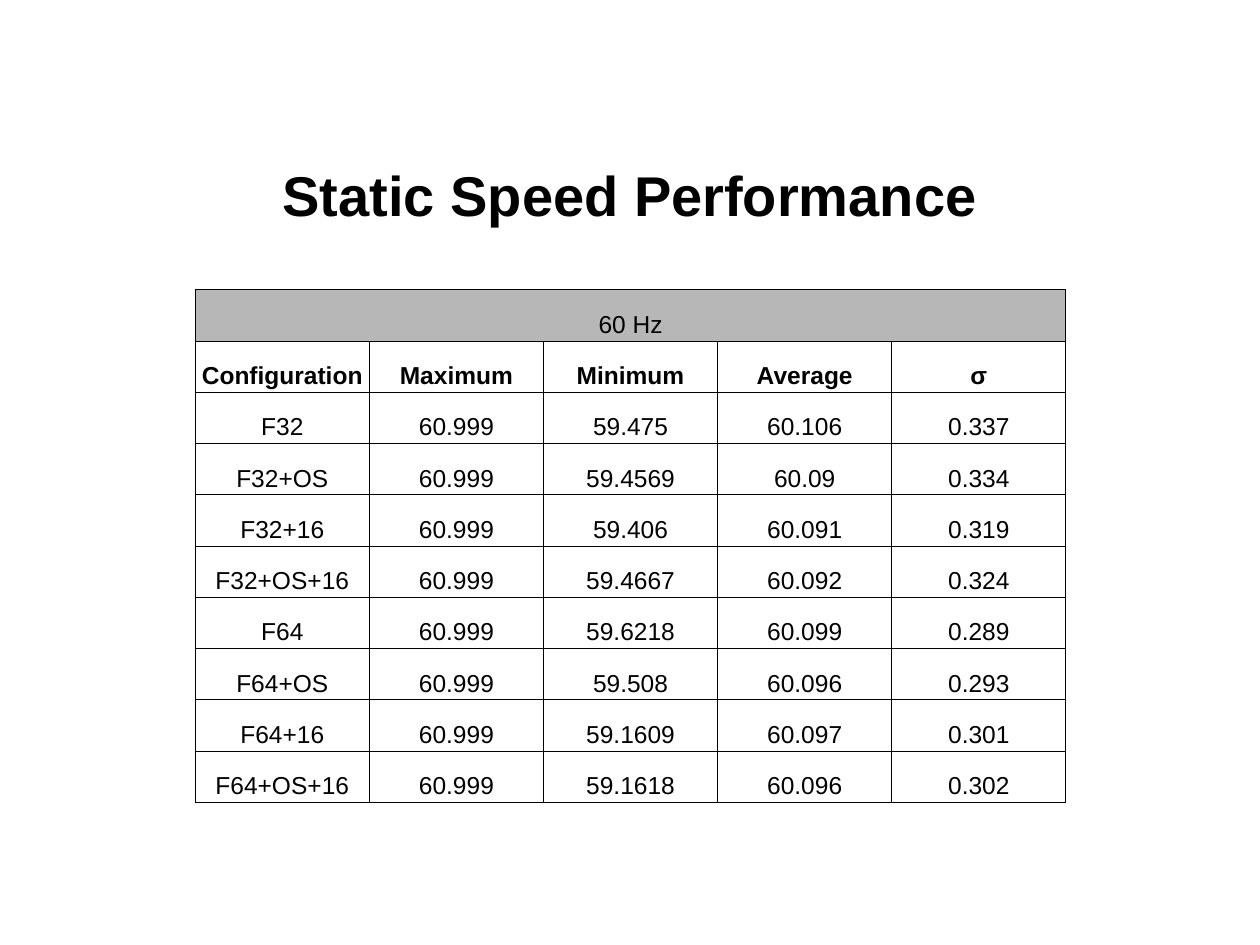
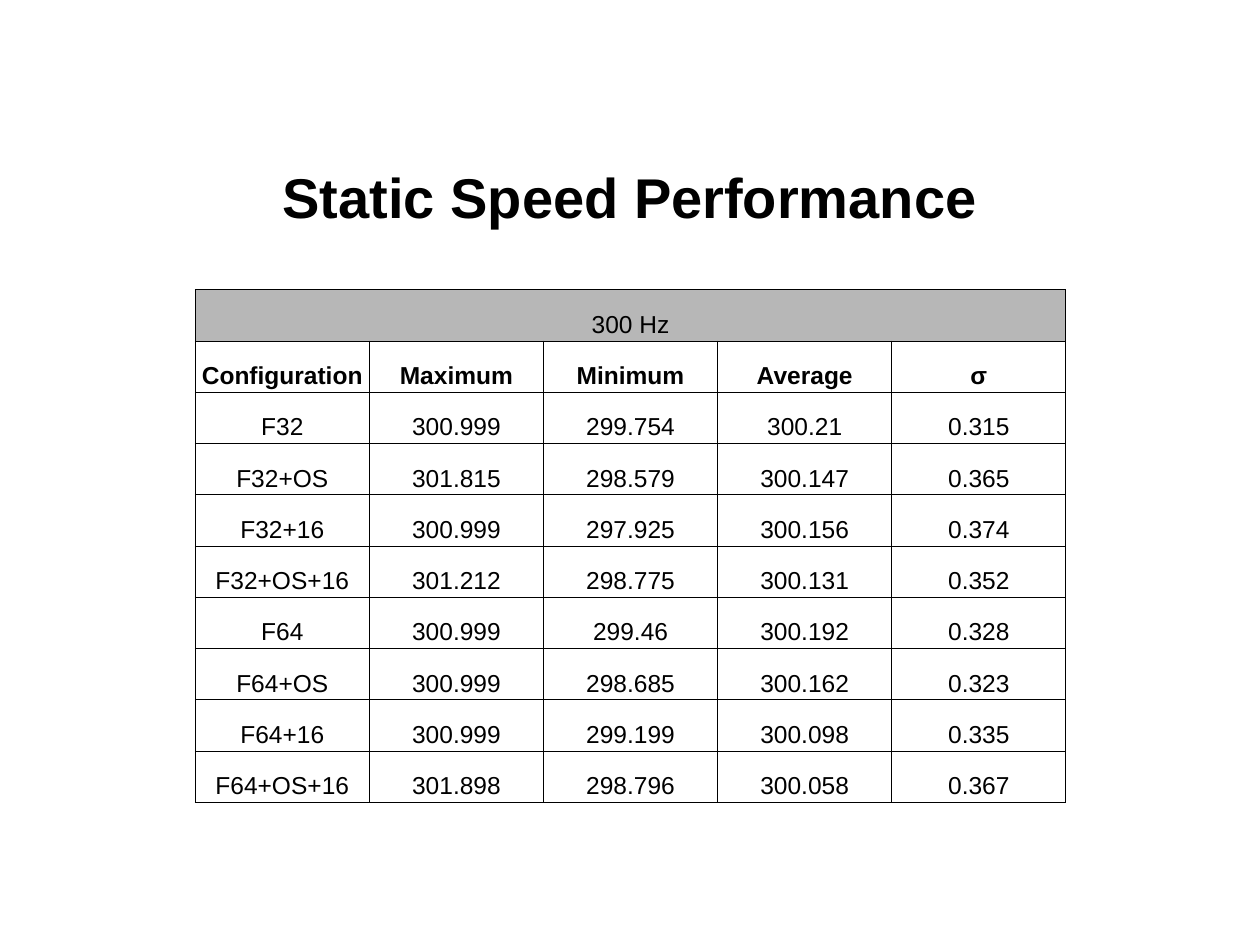
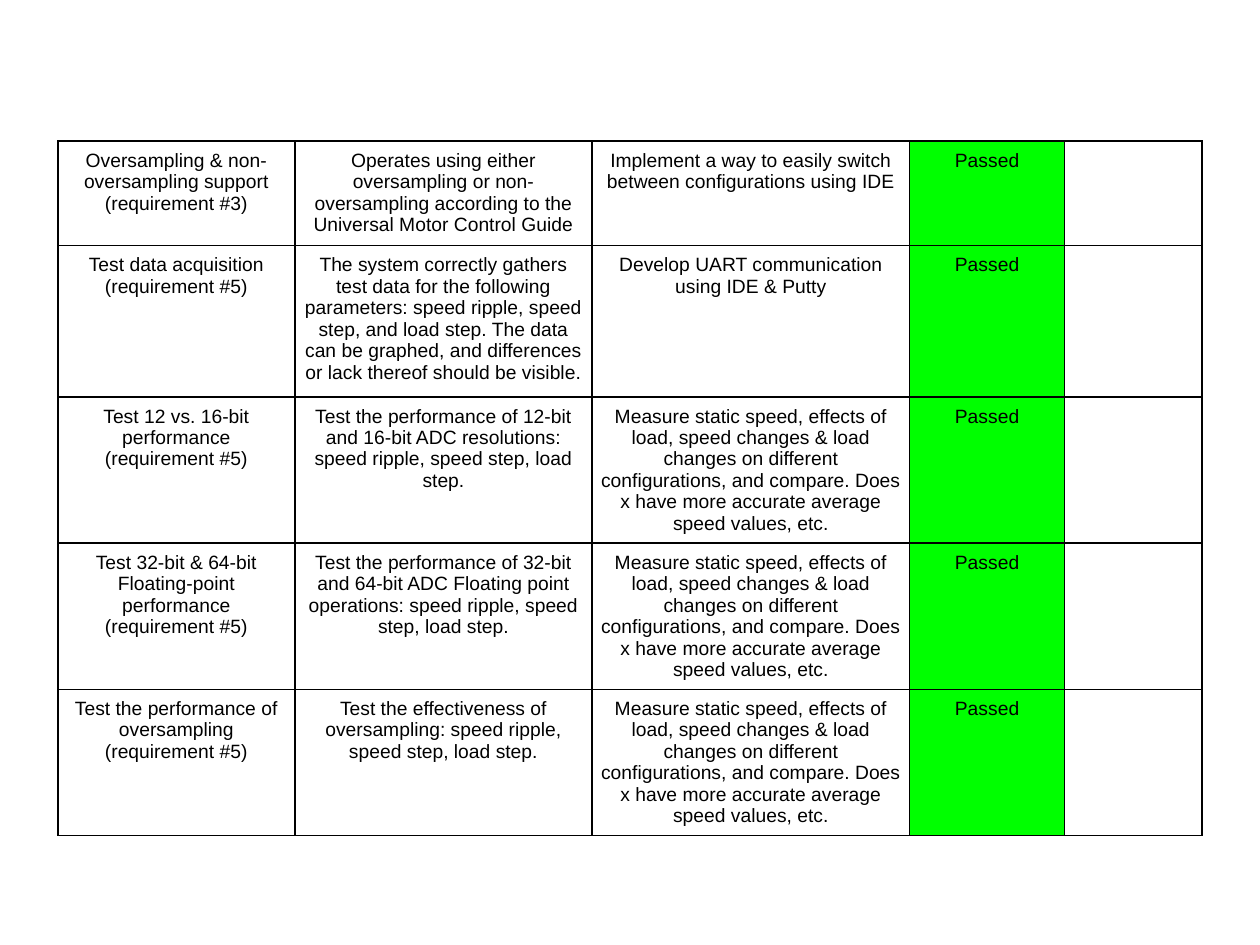
from dataclasses import dataclass

from lxml import etree
from pptx import Presentation
from pptx.dml.color import RGBColor
from pptx.enum.text import MSO_ANCHOR, MSO_AUTO_SIZE, PP_ALIGN
from pptx.oxml.ns import qn
from pptx.util import Inches, Pt

CENTER = PP_ALIGN.CENTER
TOP, MIDDLE, BOTTOM = MSO_ANCHOR.TOP, MSO_ANCHOR.MIDDLE, MSO_ANCHOR.BOTTOM
NO_AUTOFIT = MSO_AUTO_SIZE.NONE
TITLE_ONLY, BLANK = 5, 6
PAGE_WIDTH, PAGE_HEIGHT = 10, 7.5


@dataclass(frozen=True)
class Theme:
    font: str = "Arial"
    ink: str = "000000"
    band: str = "B7B7B7"
    passed: str = "00FF00"
    title_size: int = 32
    speed_size: int = 14
    test_size: int = 11


@dataclass(frozen=True)
class GridStyle:
    """Position in inches and the look shared by all cells of a table."""
    left: float
    top: float
    columns: tuple[float, ...]
    rows: tuple[float, ...]
    size: int
    anchor: MSO_ANCHOR
    side_inset: float
    end_inset: float
    line_spacing: float
    border: float


@dataclass(frozen=True)
class SpeedPage:
    frequency: str
    title_top: float
    readings: tuple[str, ...]


@dataclass(frozen=True)
class Test:
    name: str
    requirement: int
    criterion: str
    method: str


THEME = Theme()
SPEED_GRID = GridStyle(1.55, 2.3, (6.91 / 5,) * 5, (4.07 / 10,) * 10,
                       THEME.speed_size, BOTTOM, 0.03, 0.02, 1.15, 0.6)
TEST_GRID = GridStyle(0.46, 1.12, (1.88, 2.36, 2.52, 1.23, 1.09),
                      (0.83, 1.2) + (1.16,) * 3,
                      THEME.test_size, TOP, 0.07, 0.07, 1.0, 1)

# Contents
SPEED_TITLE = "Static Speed Performance"
SPEED_HEADINGS = ["Configuration", "Maximum", "Minimum", "Average", "σ"]
CONFIGURATIONS = [base + extra for base in ("F32", "F64")
                  for extra in ("", "+OS", "+16", "+OS+16")]
SPEED_PAGES = [
    SpeedPage("60 Hz", 1.1, (
        "60.999 59.475 60.106 0.337",
        "60.999 59.4569 60.09 0.334",
        "60.999 59.406 60.091 0.319",
        "60.999 59.4667 60.092 0.324",
        "60.999 59.6218 60.099 0.289",
        "60.999 59.508 60.096 0.293",
        "60.999 59.1609 60.097 0.301",
        "60.999 59.1618 60.096 0.302")),
    SpeedPage("300 Hz", 1.12, (
        "300.999 299.754 300.21 0.315",
        "301.815 298.579 300.147 0.365",
        "300.999 297.925 300.156 0.374",
        "301.212 298.775 300.131 0.352",
        "300.999 299.46 300.192 0.328",
        "300.999 298.685 300.162 0.323",
        "300.999 299.199 300.098 0.335",
        "301.898 298.796 300.058 0.367")),
]
RESULT = "Passed"
COMPARE = ("Measure static speed, effects of load, speed changes & load changes on "
           "different configurations, and compare. Does x have more accurate average "
           "speed values, etc.")
TESTS = [
    Test("Oversampling & non-oversampling support", 3,
         "Operates using either oversampling or non-oversampling according to the "
         "Universal Motor Control Guide",
         "Implement a way to easily switch between configurations using IDE"),
    Test("Test data acquisition", 5,
         "The system correctly gathers test data for the following parameters: speed "
         "ripple, speed step, and load step. The data can be graphed, and differences "
         "or lack thereof should be visible.",
         "Develop UART communication using IDE & Putty"),
    Test("Test 12 vs. 16-bit performance", 5,
         "Test the performance of 12-bit and 16-bit ADC resolutions: speed ripple, "
         "speed step, load step.", COMPARE),
    Test("Test 32-bit & 64-bit Floating-point performance", 5,
         "Test the performance of 32-bit and 64-bit ADC Floating point operations: "
         "speed ripple, speed step, load step.", COMPARE),
    Test("Test the performance of oversampling", 5,
         "Test the effectiveness of oversampling: speed ripple, speed step, load step.",
         COMPARE),
]


def write(frame, text: str, *, size: int, bold: bool = False,
          line_spacing: float = 1.0) -> None:
    """Fill a text frame with centred paragraphs, one for each line of text."""
    for index, line in enumerate(text.split("\n")):
        para = frame.paragraphs[0] if index == 0 else frame.add_paragraph()
        para.alignment = CENTER
        para.line_spacing = line_spacing
        span = para.add_run()
        span.text = line
        span.font.name = THEME.font
        span.font.size = Pt(size)
        span.font.bold = bold
        span.font.color.rgb = RGBColor.from_string(THEME.ink)


def add_borders(cell, width: float) -> None:
    properties = cell._tc.get_or_add_tcPr()
    for side in ("a:lnL", "a:lnR", "a:lnT", "a:lnB"):
        line = etree.SubElement(properties, qn(side), w=str(Pt(width)))
        fill = etree.SubElement(line, qn("a:solidFill"))
        etree.SubElement(fill, qn("a:srgbClr"), val=THEME.ink)


def add_grid(page, style: GridStyle, texts: list[list[str]],
             fills: dict[str, str], bold_row: int | None = None):
    """Draw a bordered table; fills maps a cell's text to its colour."""
    table = page.shapes.add_table(
        len(style.rows), len(style.columns), Inches(style.left), Inches(style.top),
        Inches(sum(style.columns)), Inches(sum(style.rows))).table
    table.first_row = table.horz_banding = False
    for column, width in zip(table.columns, style.columns):
        column.width = Inches(width)
    for row, height in zip(table.rows, style.rows):
        row.height = Inches(height)

    for row_index, row_texts in enumerate(texts):
        for column_index, text in enumerate(row_texts):
            cell = table.cell(row_index, column_index)
            cell.vertical_anchor = style.anchor
            cell.margin_left = cell.margin_right = Inches(style.side_inset)
            cell.margin_top = cell.margin_bottom = Inches(style.end_inset)
            add_borders(cell, style.border)
            if text in fills:
                cell.fill.solid()
                cell.fill.fore_color.rgb = RGBColor.from_string(fills[text])
            else:
                cell.fill.background()
            if text:
                write(cell.text_frame, text, size=style.size,
                      bold=row_index == bold_row, line_spacing=style.line_spacing)
    return table


def add_title(page, text: str, top: float) -> None:
    box = page.shapes.title
    box.left, box.top = Inches(0.05 * PAGE_WIDTH), Inches(top)
    box.width, box.height = Inches(0.9 * PAGE_WIDTH), Inches(0.88)
    box.text_frame.auto_size = NO_AUTOFIT
    box.text_frame.vertical_anchor = MIDDLE
    write(box.text_frame, text, size=THEME.title_size, bold=True)


def add_speed_page(deck, speed: SpeedPage) -> None:
    page = deck.slides.add_slide(deck.slide_layouts[TITLE_ONLY])
    add_title(page, SPEED_TITLE, speed.title_top)
    band = [speed.frequency] + [""] * (len(SPEED_HEADINGS) - 1)
    body = [[name, *values.split()]
            for name, values in zip(CONFIGURATIONS, speed.readings)]
    table = add_grid(page, SPEED_GRID, [band, SPEED_HEADINGS, *body],
                     {speed.frequency: THEME.band}, bold_row=1)
    table.cell(0, 0).merge(table.cell(0, len(SPEED_HEADINGS) - 1))


def add_test_page(deck) -> None:
    page = deck.slides.add_slide(deck.slide_layouts[BLANK])
    texts = [[f"{test.name}\n(requirement #{test.requirement})",
              test.criterion, test.method, RESULT, ""] for test in TESTS]
    add_grid(page, TEST_GRID, texts, {RESULT: THEME.passed})


def main() -> None:
    deck = Presentation()
    deck.slide_width, deck.slide_height = Inches(PAGE_WIDTH), Inches(PAGE_HEIGHT)
    for speed in SPEED_PAGES:
        add_speed_page(deck, speed)
    add_test_page(deck)
    deck.save("out.pptx")


if __name__ == "__main__":
    main()
